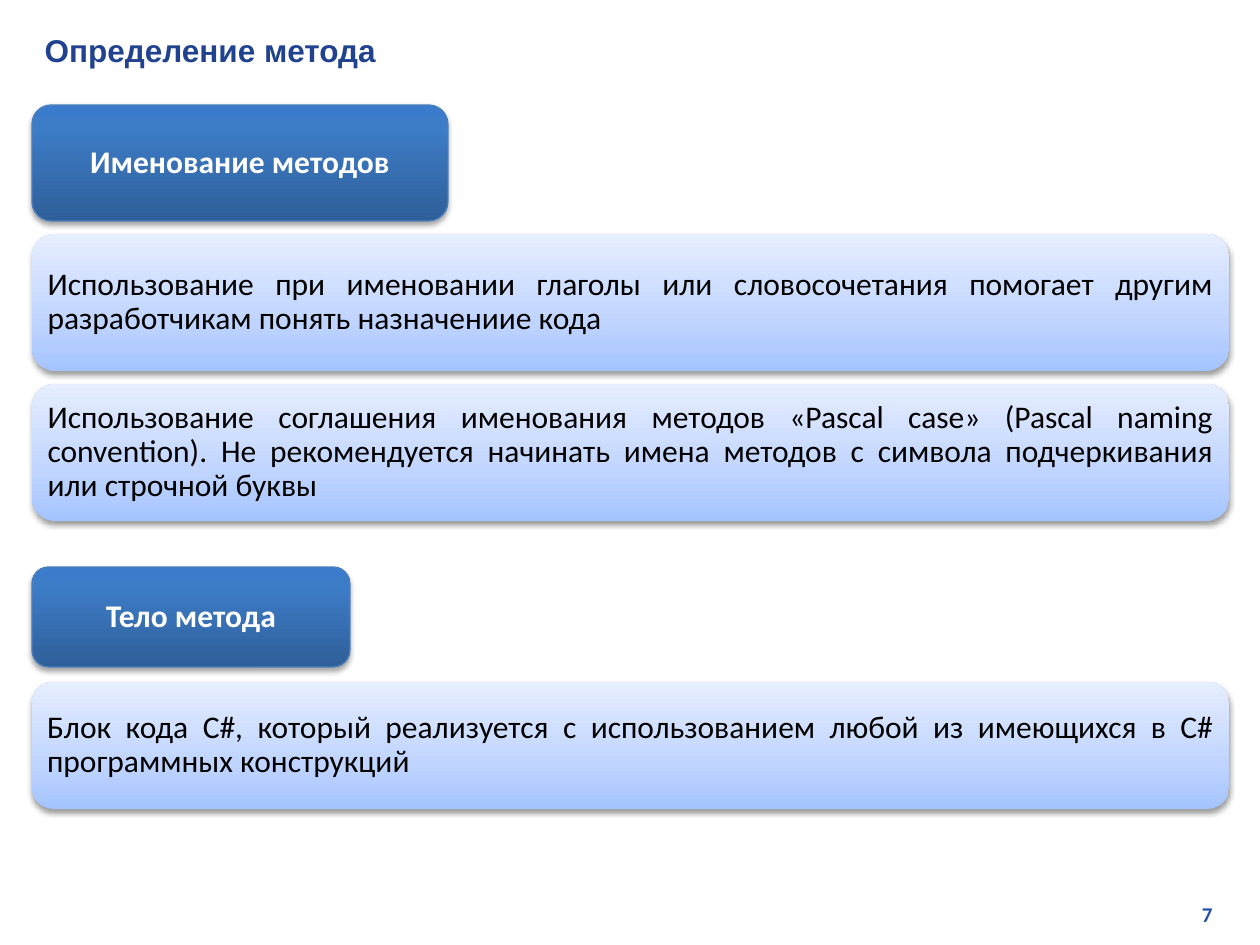
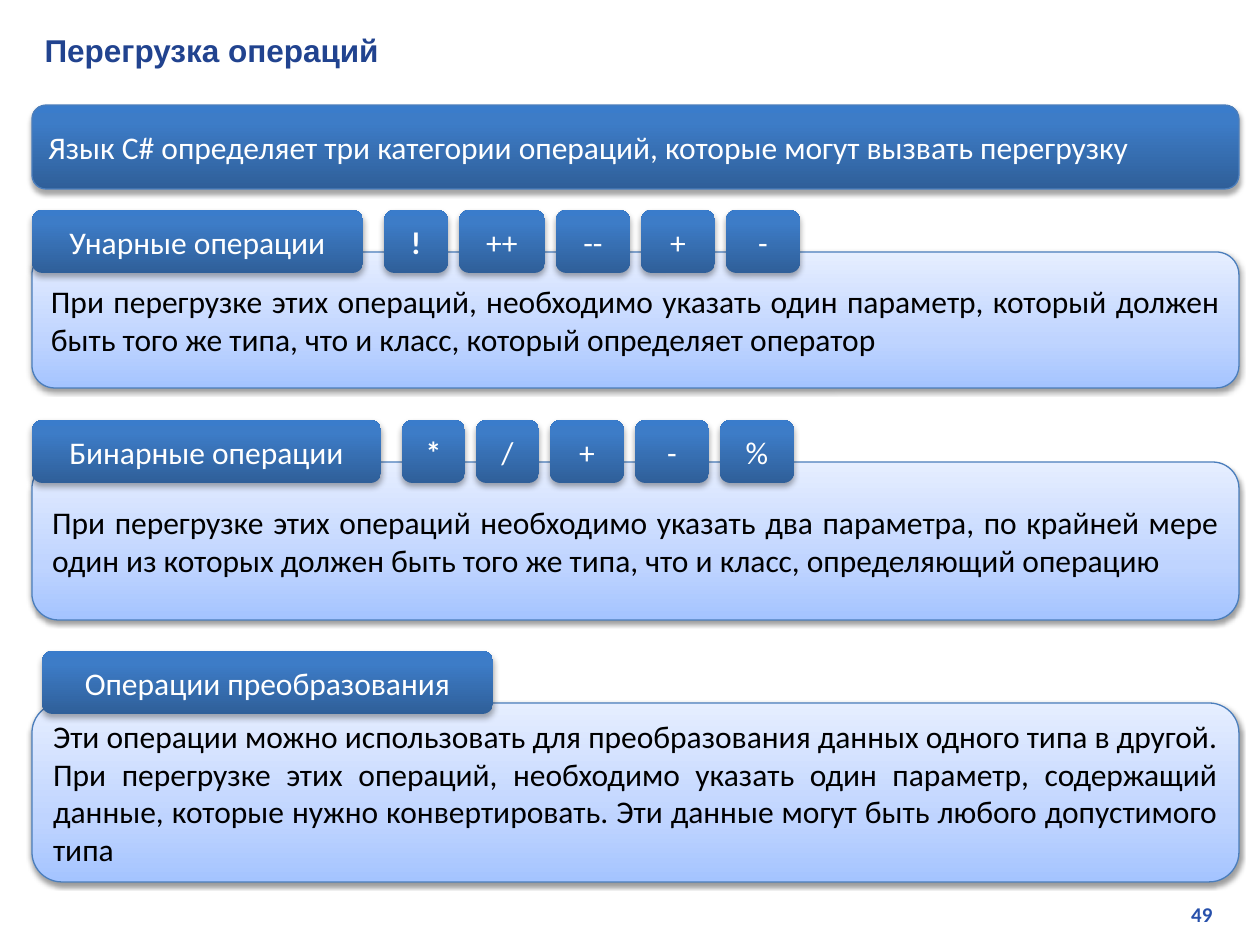
from lxml import etree
from pptx import Presentation
from pptx import util as u
from pptx.dml.color import RGBColor
from pptx.enum import shapes, text
from pptx.oxml import ns

PX = u.Inches(1) / 126
LEFT = 32
CHIP_HEIGHT = 63
CHIP_GAP = 11
LABEL_GAP = 21

COLORS = {
    "title": "21438F",
    "number": "2750AB",
    "outline": "4B7EBC",
    "shadow": "000000",
    "light_text": "FFFFFF",
    "dark_text": "000000",
}
GRADIENTS = {
    "blue": [(0, "2F5F99"), (80, "3D7CC7"), (100, "3A7CCB")],
    "pale": [(0, "A4C4FF"), (35, "BFD4FF"), (100, "E6EEFF")],
}
SHADOWS = {
    "bar": {"alpha": 35, "blur": 3.1, "dist": 1.8},
    "card": {"alpha": 38, "blur": 3.1, "dist": 1.6},
    "chip": {"alpha": 32, "blur": 3.5, "dist": 2.2},
}
TITLE_FONT = {"name": "Arial", "size": u.Pt(18), "bold": True}
BODY_FONT = {"name": "Calibri", "size": u.Pt(18), "bold": False}
HEADING_FONT = {**BODY_FONT, "bold": True}
NUMBER_FONT = {**HEADING_FONT, "size": u.Pt(12)}

CENTER = text.PP_ALIGN.CENTER
JUSTIFY = text.PP_ALIGN.JUSTIFY
BAR = {"gradient": "blue", "shadow": "bar", "outlined": True,
       "color": "light_text", "align": JUSTIFY}
HEADING = {**BAR, "font": HEADING_FONT, "align": CENTER, "inset": 9, "spacing": 0.9}
CARD = {"gradient": "pale", "shadow": "card", "outlined": True,
        "color": "dark_text", "align": JUSTIFY}
NOTE = {**CARD, "outlined": False, "inset": 9, "spacing": 0.9}
CHIP = {"gradient": "blue", "shadow": "chip", "outlined": False,
        "color": "light_text", "align": CENTER}


def px(*lengths):
    return [round(length * PX) for length in lengths]


def write(frame, words, font, color, align, spacing=None):
    frame.word_wrap = True
    frame.auto_size = text.MSO_AUTO_SIZE.NONE
    frame.vertical_anchor = text.MSO_ANCHOR.MIDDLE
    frame.text = words
    paragraph = frame.paragraphs[0]
    paragraph.alignment = align
    paragraph.line_spacing = spacing
    for name, value in font.items():
        setattr(paragraph.runs[0].font, name, value)
    paragraph.runs[0].font.color.rgb = RGBColor.from_string(COLORS[color])


def add_color(parent, value):
    return etree.SubElement(parent, ns.qn("a:srgbClr"), val=value)


def apply_gradient(panel, stops):
    panel.fill.gradient()
    panel.fill.gradient_angle = 90
    stop_list = panel.fill._xPr.find(".//" + ns.qn("a:gsLst"))
    for stop in list(stop_list):
        stop_list.remove(stop)
    for position, color in stops:
        stop = etree.SubElement(stop_list, ns.qn("a:gs"), pos=str(position * 1000))
        add_color(stop, color)


def apply_shadow(panel, alpha, blur, dist):
    panel.shadow.inherit = False
    effects = panel.fill._xPr.find(ns.qn("a:effectLst"))
    shadow = etree.SubElement(
        effects, ns.qn("a:outerShdw"), blurRad=str(u.Pt(blur)),
        dist=str(u.Pt(dist)), dir="5400000", rotWithShape="0")
    color = add_color(shadow, COLORS["shadow"])
    etree.SubElement(color, ns.qn("a:alpha"), val=str(alpha * 1000))


def add_panel(owner, box, words, gradient, shadow, outlined, color, align,
              font=BODY_FONT, inset=None, spacing=None):
    panel = owner.shapes.add_shape(shapes.MSO_SHAPE.ROUNDED_RECTANGLE, *px(*box))
    apply_gradient(panel, GRADIENTS[gradient])
    if outlined:
        panel.line.color.rgb = RGBColor.from_string(COLORS["outline"])
        panel.line.width = u.Pt(0.75)
    else:
        panel.line.fill.background()
    apply_shadow(panel, **SHADOWS[shadow])
    frame = panel.text_frame
    if inset is not None:
        for side in ("left", "top", "right", "bottom"):
            setattr(frame, f"margin_{side}", px(inset)[0])
    write(frame, words, font, color, align, spacing)


def add_page(deck, title, number):
    slide = deck.slides.add_slide(deck.slide_layouts[5])
    heading = slide.shapes.title
    heading.left, heading.top, heading.width, heading.height = px(LEFT, 25, 1202, 50)
    write(heading.text_frame, title, TITLE_FONT, "title", text.PP_ALIGN.LEFT)
    page_number = slide.shapes.add_textbox(*px(958, 895, 267, 38))
    write(page_number.text_frame, number, NUMBER_FONT, "number", text.PP_ALIGN.RIGHT)
    return slide


def add_section(slide, top, heading, heading_size, notes, note_height, gap):
    section = slide.shapes.add_group_shape()
    add_panel(section, (LEFT, top, *heading_size), heading, **HEADING)
    top += heading_size[1] + gap
    for note in notes:
        add_panel(section, (LEFT, top, 1197, note_height), note, **NOTE)
        top += note_height + gap


def add_category(slide, label, label_box, symbols, card_top, card_height, rule):
    category = slide.shapes.add_group_shape()
    add_panel(category, (LEFT, card_top, 1207, card_height), rule, **CARD)
    left, top, width = label_box
    add_panel(category, (left, top, width, CHIP_HEIGHT), label, **CHIP)
    left += width + LABEL_GAP
    for index, (symbol, chip_width) in enumerate(symbols):
        font = BODY_FONT if index else HEADING_FONT
        add_panel(category, (left, top, chip_width, CHIP_HEIGHT), symbol,
                  font=font, **CHIP)
        left += chip_width + CHIP_GAP


def build_method_definition(deck):
    slide = add_page(deck, "Определение метода", "7")
    add_section(slide, 105, "Именование методов", (416, 116), [
        "Использование при именовании глаголы или словосочетания помогает другим "
        "разработчикам понять назначениие кода",
        "Использование соглашения именования методов «Pascal case» (Pascal naming "
        "convention). Не рекомендуется начинать имена методов с символа "
        "подчеркивания или строчной буквы",
    ], 137, 13)
    add_section(slide, 567, "Тело метода", (318, 100), [
        "Блок кода C#, который реализуется с использованием любой из имеющихся "
        "в C# программных конструкций",
    ], 127, 15)


def build_operator_overloading(deck):
    slide = add_page(deck, "Перегрузка операций", "49")
    add_panel(slide, (LEFT, 105, 1207, 84),
              "Язык C# определяет три категории операций, которые могут "
              "вызвать перегрузку", **BAR)
    add_category(
        slide, "Унарные операции", (LEFT, 210, 331),
        [("!", 64), ("++", 86), ("--", 74), ("+", 74), ("-", 74)], 252, 136,
        "При перегрузке этих операций, необходимо указать один параметр, который "
        "должен быть того же типа, что и класс, который определяет оператор")
    add_category(
        slide, "Бинарные операции", (LEFT, 420, 349),
        [("*", 63), ("/", 63), ("+", 74), ("-", 74), ("%", 74)], 462, 158,
        "При перегрузке этих операций необходимо указать два параметра, по крайней "
        "мере один из которых должен быть того же типа, что и класс, "
        "определяющий операцию")
    add_category(
        slide, "Операции преобразования", (42, 651, 451), [], 703, 179,
        "Эти операции можно использовать для преобразования данных одного типа "
        "в другой. При перегрузке этих операций, необходимо указать один параметр, "
        "содержащий данные, которые нужно конвертировать. Эти данные могут быть "
        "любого допустимого типа")


def main():
    deck = Presentation()
    deck.slide_width, deck.slide_height = px(1260, 945)
    build_method_definition(deck)
    build_operator_overloading(deck)
    deck.save("out.pptx")


if __name__ == "__main__":
    main()
